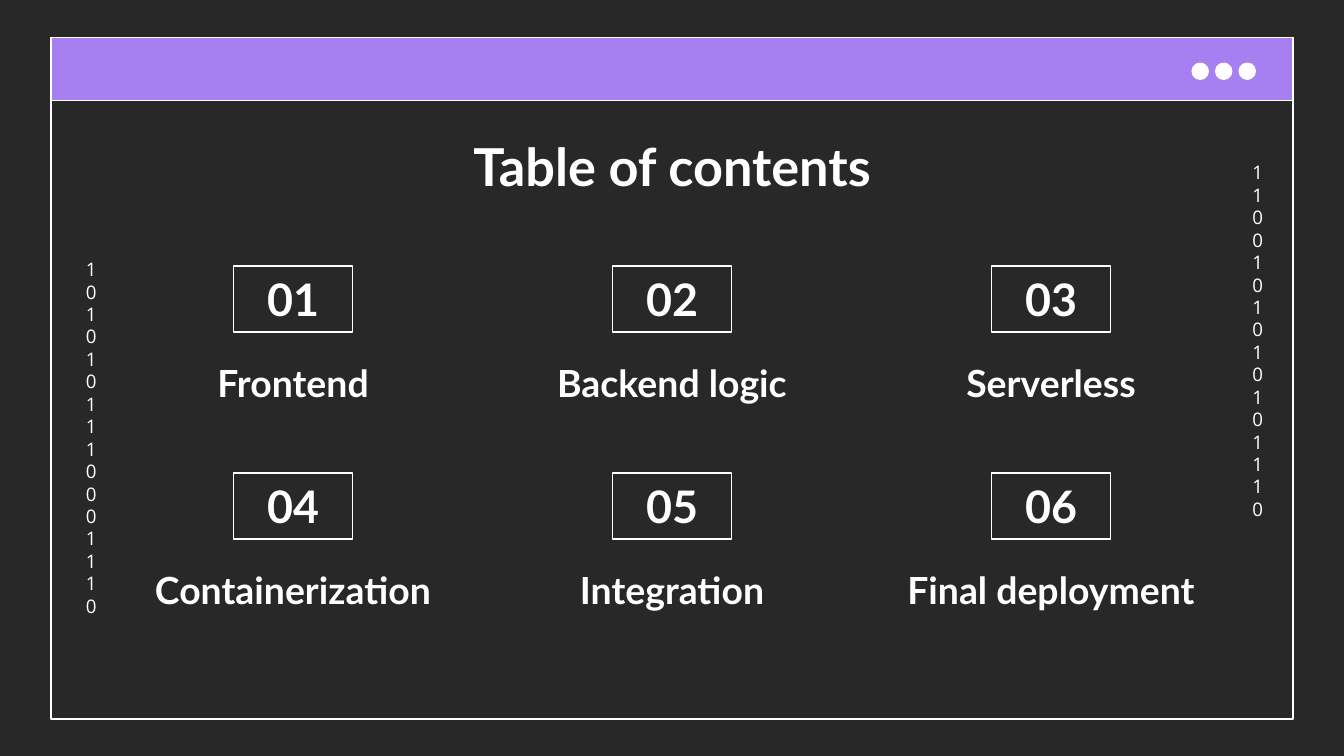
"""Build a contents slide framed as a program window."""
from dataclasses import dataclass
from typing import Optional

from pptx import Presentation
from pptx.dml.color import RGBColor
from pptx.enum.shapes import MSO_SHAPE
from pptx.enum.text import MSO_ANCHOR, MSO_AUTO_SIZE, PP_ALIGN
from pptx.shapes.autoshape import Shape
from pptx.slide import Slide
from pptx.util import Inches, Pt

RECT = MSO_SHAPE.RECTANGLE
OVAL = MSO_SHAPE.OVAL
TOP = MSO_ANCHOR.TOP
MIDDLE = MSO_ANCHOR.MIDDLE
CENTER = PP_ALIGN.CENTER
NO_FIT = MSO_AUTO_SIZE.NONE


@dataclass(frozen=True)
class Theme:
    back: RGBColor = RGBColor(0x29, 0x28, 0x28)
    bar: RGBColor = RGBColor(0xA6, 0x7F, 0xF1)
    ink: RGBColor = RGBColor(0xFF, 0xFF, 0xFF)
    head_font: str = "Lato"
    code_font: str = "Open Sans"
    title: float = 28
    number: float = 24
    label: float = 20
    code: float = 10
    line: float = 0.75


@dataclass(frozen=True)
class Box:
    left: float
    top: float
    width: float
    height: float

    def place(self) -> tuple:
        return tuple(map(Inches, (self.left, self.top, self.width, self.height)))


@dataclass(frozen=True)
class Stream:
    box: Box
    digits: str


THEME = Theme()
TOPICS = ("Frontend", "Backend logic", "Serverless",
          "Containerization", "Integration", "Final deployment")
STREAMS = (
    Stream(Box(9.22, 1.1, 0.24, 2.8), "1100101010101110"),
    Stream(Box(0.54, 1.82, 0.24, 2.8), "101010111000111\n0"),
)
COLS = 3
MID = 5
COL_STEP = 2.82
ROW_STEP = 1.54
DOTS = 3
DOT_SPAN = 0.35


def center(mid: float, top: float, width: float, height: float) -> Box:
    """Return a box centred on a vertical axis."""
    return Box(mid - width / 2, top, width, height)


def write(shape: Shape, text: str, *, size: float, font: str = THEME.head_font,
          bold: bool = True, anchor: MSO_ANCHOR = TOP) -> None:
    """Fill a shape with centred text, one paragraph per line."""
    frame = shape.text_frame
    frame.text = text
    frame.word_wrap = True
    frame.auto_size = NO_FIT
    frame.vertical_anchor = anchor
    frame.margin_left = frame.margin_right = Inches(0.1)
    frame.margin_top = frame.margin_bottom = Inches(0.1)
    for para in frame.paragraphs:
        para.alignment = CENTER
        for run in para.runs:
            run.font.name = font
            run.font.size = Pt(size)
            run.font.bold = bold
            run.font.color.rgb = THEME.ink


def draw(slide: Slide, kind: MSO_SHAPE, box: Box,
         fill: Optional[RGBColor] = None) -> Shape:
    """Add an outlined shape, hollow unless a fill is given."""
    shape = slide.shapes.add_shape(kind, *box.place())
    shape.shadow.inherit = False
    if fill is None:
        shape.fill.background()
    else:
        shape.fill.solid()
        shape.fill.fore_color.rgb = fill
    shape.line.color.rgb = THEME.ink
    shape.line.width = Pt(THEME.line)
    return shape


def draw_window(slide: Slide) -> None:
    """Draw the window frame, its bar and its buttons."""
    draw(slide, RECT, Box(0.38, 0.28, 9.24, 5.07))
    draw(slide, RECT, Box(0.38, 0.28, 9.24, 0.47), THEME.bar)
    for i in range(DOTS):
        left = 8.87 + i * DOT_SPAN / (DOTS - 1)
        draw(slide, OVAL, Box(left, 0.47, 0.12, 0.12), THEME.ink)


def draw_stream(slide: Slide, stream: Stream) -> None:
    """Draw a narrow column where each digit wraps to its own line."""
    text = slide.shapes.add_textbox(*stream.box.place())
    write(text, stream.digits, size=THEME.code, font=THEME.code_font, bold=False)


def draw_topic(slide: Slide, index: int, name: str) -> None:
    """Draw a numbered box with the topic name below it."""
    row, col = divmod(index, COLS)
    mid = MID + (col - 1) * COL_STEP
    top = 1.98 + row * ROW_STEP
    number = draw(slide, RECT, center(mid, top, 0.89, 0.49))
    write(number, f"{index + 1:02}", size=THEME.number, anchor=MIDDLE)
    label = slide.shapes.add_textbox(*center(mid, top + 0.6, 2.79, 0.6).place())
    write(label, name, size=THEME.label)


def main() -> None:
    """Build and save the slide."""
    deck = Presentation()
    deck.slide_width = Inches(10)
    deck.slide_height = deck.slide_width * 9 // 16
    slide = deck.slides.add_slide(deck.slide_layouts[5])
    slide.background.fill.solid()
    slide.background.fill.fore_color.rgb = THEME.back
    draw_window(slide)
    for stream in STREAMS:
        draw_stream(slide, stream)
    title = slide.shapes.title
    box = center(MID, 0.9, 8.43, 0.63)
    title.left, title.top, title.width, title.height = box.place()
    write(title, "Table of contents", size=THEME.title)
    for index, name in enumerate(TOPICS):
        draw_topic(slide, index, name)
    deck.save("out.pptx")


if __name__ == "__main__":
    main()
